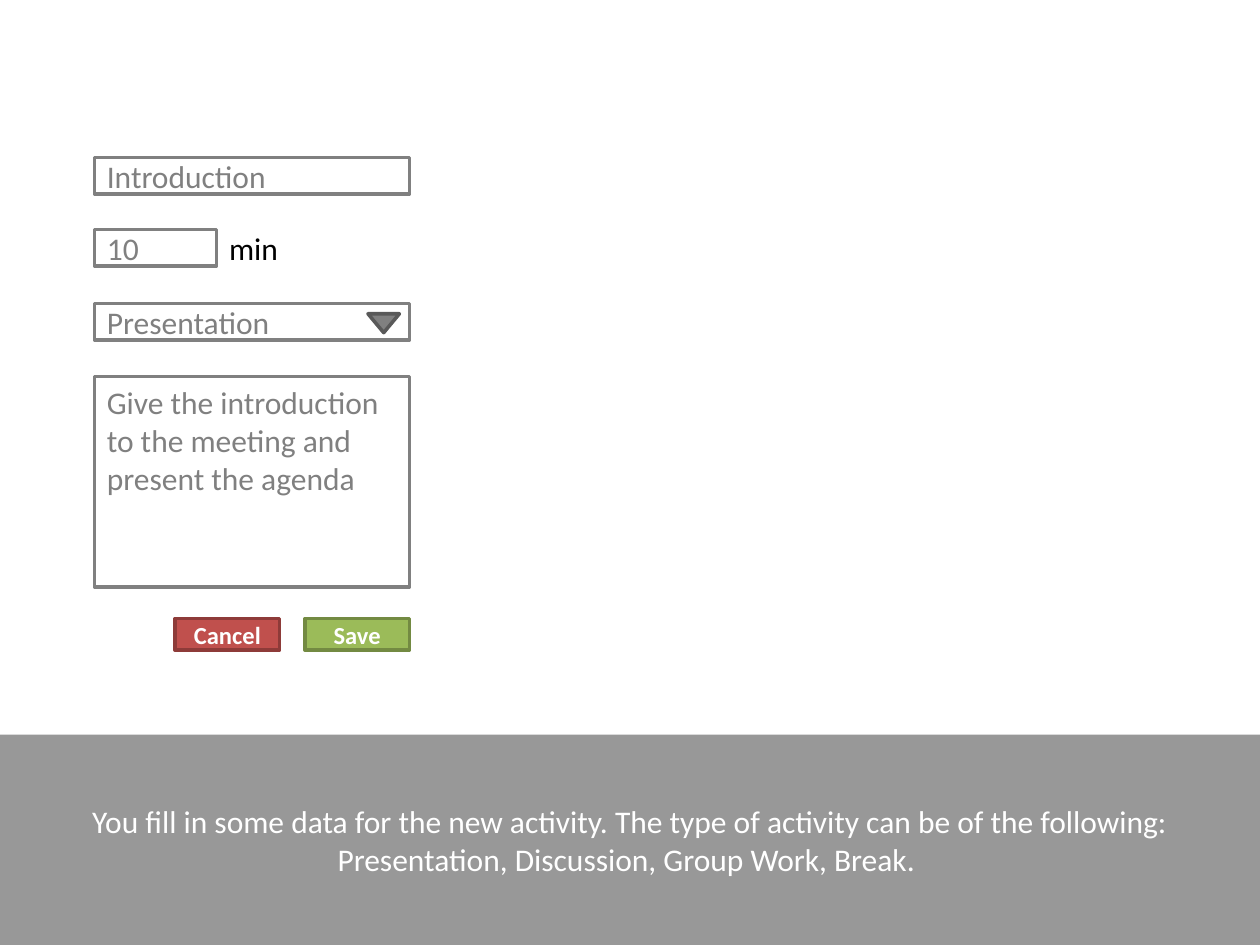
from dataclasses import dataclass

from lxml import etree
from pptx import Presentation
from pptx import util as u
from pptx.dml.color import RGBColor
from pptx.enum import shapes, text
from pptx.oxml import ns


@dataclass(frozen=True)
class Theme:
    font: str = "Calibri"
    body: int = 18
    button: int = 14
    border: int = 2
    white: str = "FFFFFF"
    black: str = "000000"
    grey: str = "808080"
    arrow_edge: str = "595959"
    green: str = "9BBB59"
    green_edge: str = "738A42"
    red: str = "C0504D"
    red_edge: str = "8E3B39"
    band: str = "7F7F7F"


theme = Theme()
LEFT, MIDDLE, TOP = text.PP_ALIGN.LEFT, text.MSO_ANCHOR.MIDDLE, text.MSO_ANCHOR.TOP
CENTER = text.PP_ALIGN.CENTER


def add_box(s, kind, box, fill, edge=None):
    sp = s.shapes.add_shape(kind, *(u.Inches(v) for v in box))
    sp.shadow.inherit = False
    sp.fill.solid()
    sp.fill.fore_color.rgb = RGBColor.from_string(fill)
    if edge:
        sp.line.color.rgb = RGBColor.from_string(edge)
        sp.line.width = u.Pt(theme.border)
    else:
        sp.line.fill.background()
    return sp


def write(sp, words, color, size=theme.body, align=LEFT, anchor=MIDDLE, bold=False):
    tf = sp.text_frame
    tf.word_wrap = True
    tf.vertical_anchor = anchor
    p = tf.paragraphs[0]
    p.alignment = align
    r = p.add_run()
    r.text = words
    r.font.name = theme.font
    r.font.size = u.Pt(size)
    r.font.bold = bold
    r.font.color.rgb = RGBColor.from_string(color)


prs = Presentation()
prs.slide_width, prs.slide_height = u.Inches(10), u.Inches(7.5)
s = prs.slides.add_slide(prs.slide_layouts[6])
RECT = shapes.MSO_SHAPE.RECTANGLE

form_left, form_width = 0.75, 2.5
fields = [
    ("Introduction", 1.25, form_width, 0.29, MIDDLE),
    ("10", 1.82, 0.97, 0.29, MIDDLE),
    ("Presentation", 2.41, form_width, 0.29, MIDDLE),
    ("Give the introduction to the meeting and present the agenda", 2.99, form_width, 1.67, TOP),
]
for words, top, width, height, anchor in fields:
    sp = add_box(s, RECT, (form_left, top, width, height), theme.white, theme.grey)
    write(sp, words, theme.grey, anchor=anchor)

unit = s.shapes.add_textbox(u.Inches(1.72), u.Inches(1.77), u.Inches(1), u.Inches(0.4))
write(unit, "min", theme.black, anchor=TOP)
unit.text_frame.auto_size = text.MSO_AUTO_SIZE.SHAPE_TO_FIT_TEXT

arrow = add_box(s, shapes.MSO_SHAPE.ISOSCELES_TRIANGLE, (2.92, 2.49, 0.25, 0.15),
                theme.grey, theme.arrow_edge)
arrow.rotation = 180

buttons = [
    ("Save", 2.42, theme.green, theme.green_edge),
    ("Cancel", 1.39, theme.red, theme.red_edge),
]
for words, left, fill, edge in buttons:
    sp = add_box(s, RECT, (left, 4.91, 0.83, 0.25), fill, edge)
    write(sp, words, theme.white, theme.button, CENTER, bold=True)

band = add_box(s, RECT, (0, 5.83, 10, 1.67), theme.band)
color = band.fill._xPr.find(ns.qn("a:solidFill"))[0]
etree.SubElement(color, ns.qn("a:alpha"), val="80000")
write(band, "You fill in some data for the new activity. The type of activity can be of the "
      "following: Presentation, Discussion, Group Work, Break. ", theme.white, align=CENTER)

prs.save("out.pptx")
